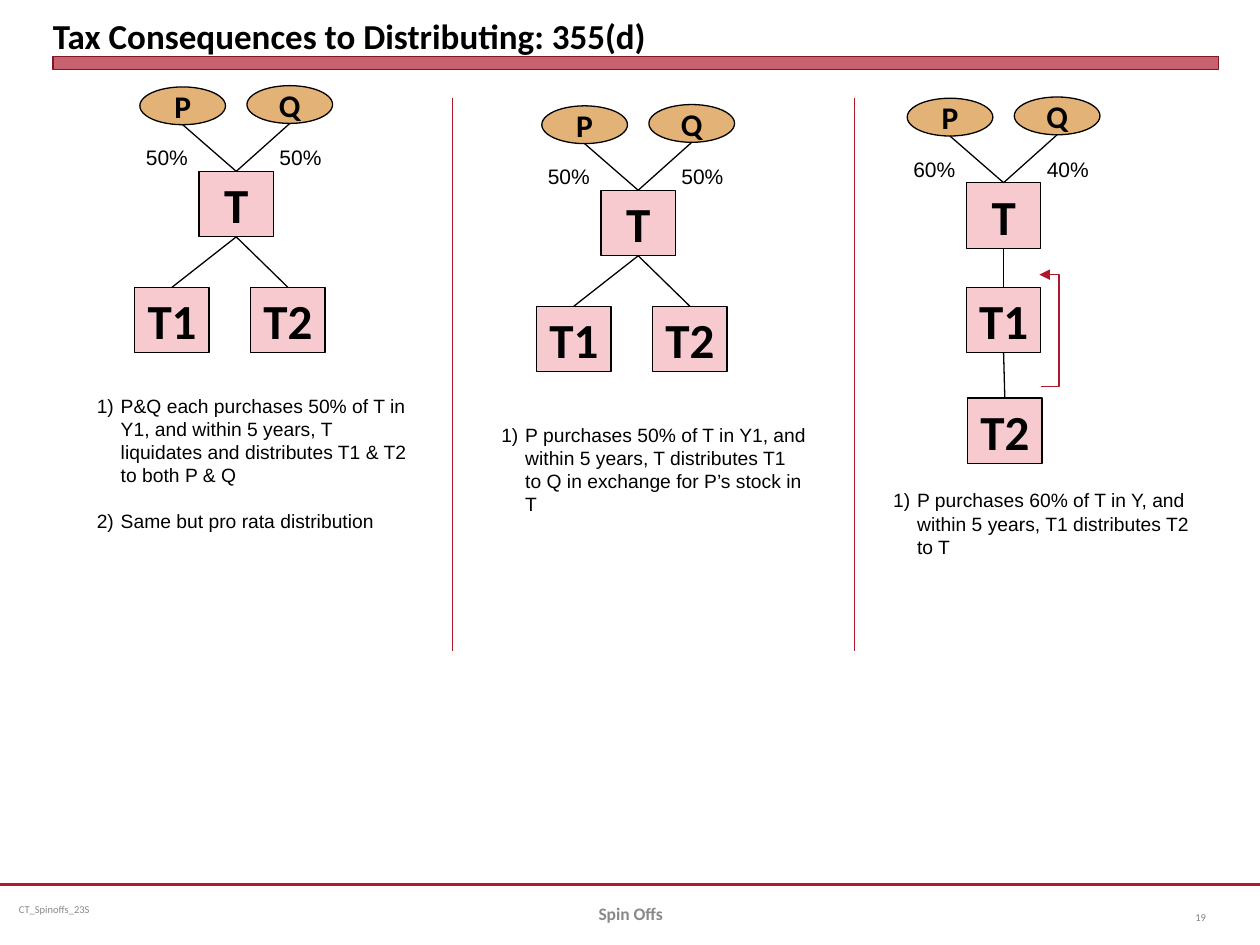
from lxml.etree import SubElement
from pptx import Presentation
from pptx.dml.color import RGBColor
from pptx.enum.shapes import MSO_CONNECTOR, MSO_SHAPE
from pptx.enum.text import MSO_ANCHOR, PP_ALIGN
from pptx.oxml.ns import qn
from pptx.util import Inches, Pt

COLORS = {
    "rule": "B01C2E", "bar_edge": "821522", "divider": "B0182A",
    "company": "F7CAD0", "owner": "E3B276", "ink": "000000",
    "footer": "898989", "number": "808080",
}
BOX_WIDTH, BOX_HEIGHT = 0.59, 0.52
OWNER_WIDTH, OWNER_HEIGHT = 0.68, 0.3


def color(name):
    return RGBColor.from_string(COLORS[name])


def add_span(para, text, size, font="Calibri", ink="ink", bold=False):
    span = para.add_run()
    span.text = text
    span.font.size = Pt(size)
    span.font.name = font
    span.font.bold = bold
    span.font.color.rgb = color(ink)


def add_label(page, left, top, width, height, text, size, font="Calibri", ink="ink",
              bold=False, align=PP_ALIGN.LEFT, anchor=MSO_ANCHOR.MIDDLE, wrap=True):
    box = page.shapes.add_textbox(Inches(left), Inches(top), Inches(width), Inches(height))
    box.text_frame.word_wrap = wrap
    box.text_frame.vertical_anchor = anchor
    para = box.text_frame.paragraphs[0]
    para.alignment = align
    add_span(para, text, size, font, ink, bold)
    return box


def add_line(page, start, end, ink="ink", width=0.75, kind=MSO_CONNECTOR.STRAIGHT):
    line = page.shapes.add_connector(kind, *(Inches(value) for value in (*start, *end)))
    line.line.color.rgb = color(ink)
    line.line.width = Pt(width)
    SubElement(line._element.spPr, qn("a:effectLst"))
    return line


def add_node(page, kind, left, top, width, height, fill, text, size):
    node = page.shapes.add_shape(kind, Inches(left), Inches(top), Inches(width), Inches(height))
    node.shadow.inherit = False
    node.fill.solid()
    node.fill.fore_color.rgb = color(fill)
    node.line.color.rgb = color("ink")
    node.line.width = Pt(0.75)
    node.text_frame.word_wrap = False
    node.text_frame.vertical_anchor = MSO_ANCHOR.MIDDLE
    para = node.text_frame.paragraphs[0]
    para.alignment = PP_ALIGN.CENTER
    add_span(para, text, size, bold=True)


def add_company(page, left, top, text):
    """Draw a company box and return its top and bottom centres."""
    add_node(page, MSO_SHAPE.RECTANGLE, left, top, BOX_WIDTH, BOX_HEIGHT, "company", text, 28)
    middle = left + BOX_WIDTH / 2
    return (middle, top), (middle, top + BOX_HEIGHT)


def add_ownership(page, left, top, shares):
    """Draw T at the given corner with owners P and Q; return T's bottom centre."""
    head, foot = add_company(page, left, top, "T")
    owners = (("P", -0.47, -0.67, -0.52), ("Q", 0.38, -0.68, 0.54))
    for (name, across, up, label_across), share in zip(owners, shares):
        owner_left, owner_top = left + across, top + up
        add_node(page, MSO_SHAPE.OVAL, owner_left, owner_top, OWNER_WIDTH, OWNER_HEIGHT,
                 "owner", name, 18)
        add_line(page, (owner_left + OWNER_WIDTH / 2, owner_top + OWNER_HEIGHT), head)
        add_label(page, left + label_across, top - 0.26, 0.54, 0.3, share, 12, "Arial",
                  anchor=MSO_ANCHOR.TOP, wrap=False)
    return foot


def add_sibling_panel(page, left, top, shares):
    foot = add_ownership(page, left, top, shares)
    for name, across in (("T1", -0.51), ("T2", 0.41)):
        head, _ = add_company(page, left + across, top + 0.92, name)
        add_line(page, head, foot)


def add_chain_panel(page, left, top, shares):
    foot = add_ownership(page, left, top, shares)
    for name, across, down in (("T1", 0, 0.83), ("T2", 0.01, 1.71)):
        head, next_foot = add_company(page, left + across, top + down, name)
        add_line(page, head, foot)
        foot = next_foot
    # Distribution arrow looping out to the right
    right = left + BOX_WIDTH
    arrow = add_line(page, (right, top + 1.62), (right - 0.01, top + 0.73), "divider",
                     kind=MSO_CONNECTOR.ELBOW)
    guides = arrow._element.spPr.find(qn("a:prstGeom")).get_or_add_avLst()
    SubElement(guides, qn("a:gd"), name="adj1", fmla="val -1478400")
    SubElement(arrow.line._get_or_add_ln(), qn("a:tailEnd"), type="triangle")


def add_notes(page, left, top, width, height, items):
    box = page.shapes.add_textbox(Inches(left), Inches(top), Inches(width), Inches(height))
    frame = box.text_frame
    frame.word_wrap = True
    for index, item in enumerate(items):
        para = frame.add_paragraph() if index else frame.paragraphs[0]
        properties = para._p.get_or_add_pPr()
        properties.set("marL", str(Inches(0.19)))
        properties.set("indent", str(-Inches(0.19)))
        SubElement(properties, qn("a:buFont"), typeface="+mj-lt")
        SubElement(properties, qn("a:buAutoNum"), type="arabicParenR")
        if index:
            para.space_before = Pt(13)
        add_span(para, item, 11, "Arial")


def add_header(page, left, top, width):
    bar = page.shapes.add_shape(MSO_SHAPE.RECTANGLE, Inches(left), Inches(top + 0.4),
                                Inches(width), Inches(0.1))
    bar.shadow.inherit = False
    bar.fill.solid()
    bar.fill.fore_color.rgb = color("rule")
    SubElement(bar.fill._xPr.find(qn("a:solidFill"))[0], qn("a:alpha"), val="69000")
    bar.line.color.rgb = color("bar_edge")
    bar.line.width = Pt(0)

    title = page.shapes.title
    title.left, title.top = Inches(left), Inches(top)
    title.width, title.height = Inches(width), Inches(0.4)
    frame = title.text_frame
    frame.margin_left = frame.margin_right = frame.margin_top = frame.margin_bottom = 0
    frame.vertical_anchor = MSO_ANCHOR.BOTTOM
    para = frame.paragraphs[0]
    para.alignment = PP_ALIGN.LEFT
    add_span(para, "Tax Consequences to Distributing: 355(d)", 20, bold=True)


def add_footer(page, top, width):
    add_line(page, (0, top), (width, top), "rule", 1.25)
    source = add_label(page, 0.08, top, 2.58, 0.4, "CT_Spinoffs_23S", 6, ink="footer")
    source.text_frame.margin_left = source.text_frame.margin_right = Inches(0.07)
    add_label(page, 3.42, top + 0.03, 3.17, 0.4, "Spin Offs", 10, ink="footer", bold=True,
              align=PP_ALIGN.CENTER)
    add_label(page, 9.17, top + 0.06, 0.5, 0.4, "19", 6, ink="number", align=PP_ALIGN.RIGHT)


def main():
    deck = Presentation()
    deck.slide_width, deck.slide_height = Inches(10), Inches(7.5)
    page = deck.slides.add_slide(deck.slide_layouts[5])

    add_header(page, 0.42, 0.05, 9.25)
    add_footer(page, 7.02, 10)
    for across in (3.59, 6.78):
        add_line(page, (across, 0.78), (across, 5.17), "divider")

    # Left panel: liquidation of T
    add_sibling_panel(page, 1.58, 1.36, ("50%", "50%"))
    add_notes(page, 0.67, 3.08, 2.66, 1.21, [
        "P&Q each purchases 50% of T in Y1, and within 5 years, T liquidates and "
        "distributes T1 & T2 to both P & Q",
        "Same but pro rata distribution",
    ])

    # Middle panel: exchange for T stock
    add_sibling_panel(page, 4.77, 1.51, ("50%", "50%"))
    add_notes(page, 3.88, 3.31, 2.62, 0.84, [
        "P purchases 50% of T in Y1, and within 5 years, T distributes T1 to Q in "
        "exchange for P’s stock in T",
    ])

    # Right panel: distribution up the chain
    add_chain_panel(page, 7.67, 1.45, ("60%", "40%"))
    add_notes(page, 6.99, 3.83, 2.58, 0.66, [
        "P purchases 60% of T in Y, and within 5 years, T1 distributes T2 to T",
    ])

    deck.save("out.pptx")


if __name__ == "__main__":
    main()
